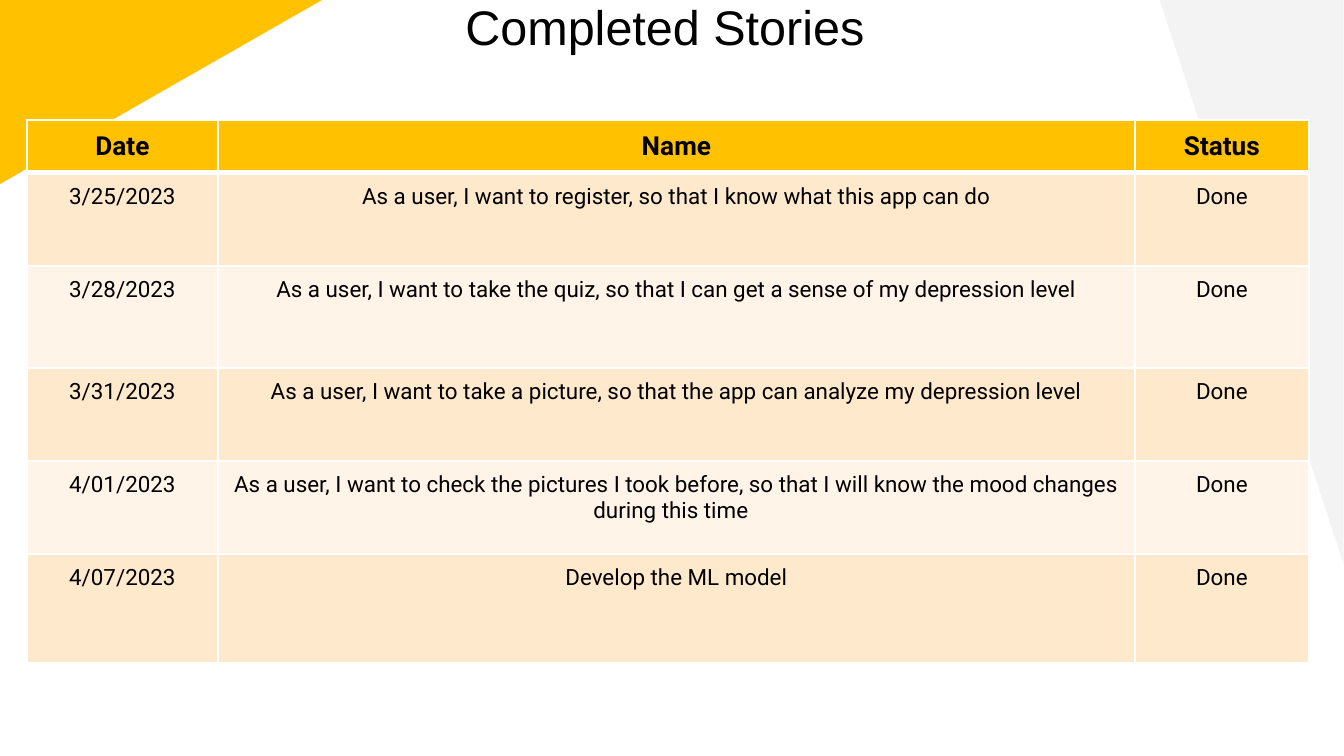
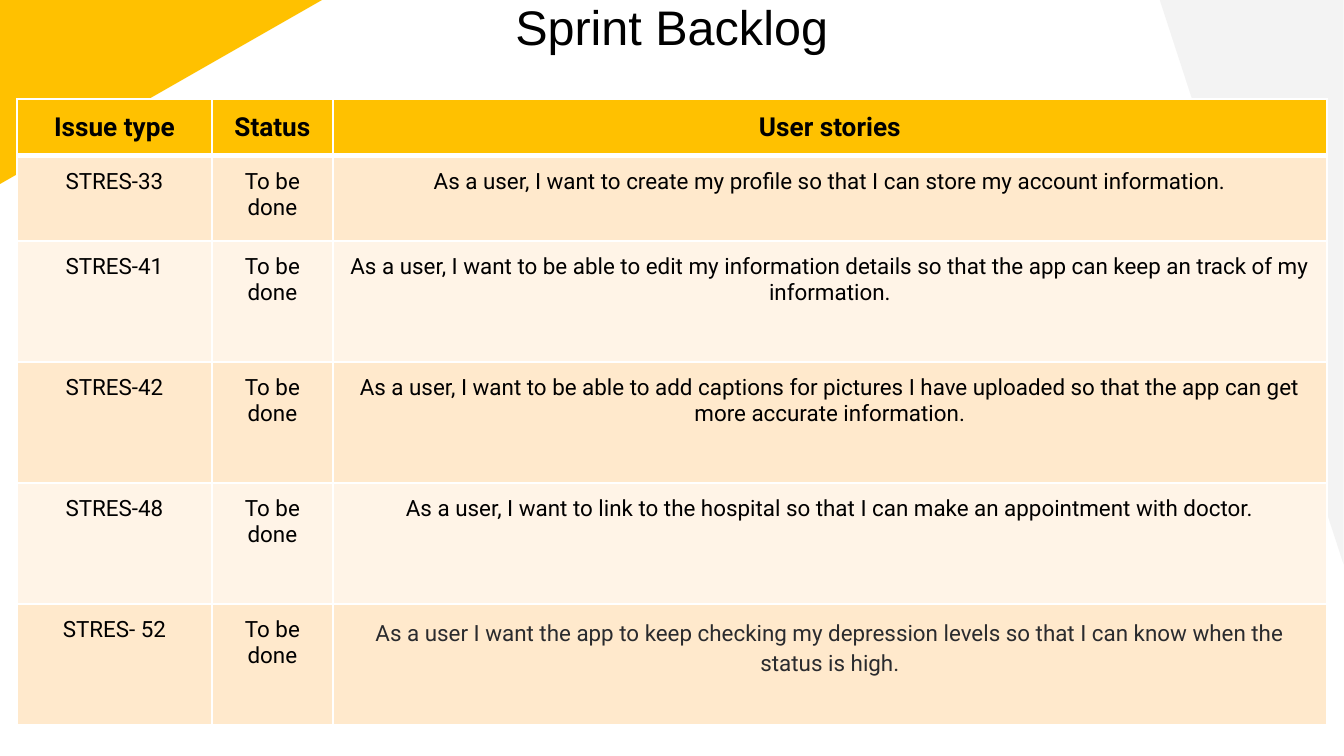
from lxml import etree
from pptx import Presentation
from pptx import util as u
from pptx.dml.color import RGBColor
from pptx.enum import shapes, text
from pptx.oxml.ns import qn

EMU_PER_PX = u.Inches(1) / 134.4
PAGE_SIZE = (1344, 756)
YELLOW, GREY, WHITE, BLACK, INK = "FFC100", "F3F3F3", "FFFFFF", "000000", "2A2B2E"
BAND_FILLS = ("FFE9CC", "FFF4E7")
TITLE_FONT, TABLE_FONT = "Arial", "Roboto"
TITLE_BOX = (77, -16, 1190, 102)

# Corner triangles: box before rotation, rotation, fill
CORNERS = [
    ((0, 0, 322, 184), 180, YELLOW),
    ((969, 190, 565, 184), 270, GREY),
]

SHEETS = [
    {
        "title": "Completed Stories ",
        "left": 27, "top": 120, "inset": 11,
        "columns": (191, 917, 174),
        "rows": (51, 93, 102, 93, 93, 109),
        "cells": [
            ("Date", "Name", "Status"),
            ("3/25/2023", "As a user, I want to register, so that I know what this app can do", "Done"),
            ("3/28/2023", "As a user, I want to take the quiz, so that I can get a sense of my "
                          "depression level", "Done"),
            ("3/31/2023", "As a user, I want to take a picture, so that the app can analyze my "
                          "depression level", "Done"),
            ("4/01/2023", "As a user, I want to check the pictures I took before, so that I will "
                          "know the mood changes during this time  ", "Done"),
            ("4/07/2023", "Develop the ML model", "Done"),
        ],
    },
    {
        "title": "Sprint Backlog",
        "left": 17, "top": 99, "inset": 13,
        "columns": (195, 121, 994),
        "rows": (56, 85, 121, 121, 121, 121),
        "cells": [
            ("Issue type", "Status", "User stories"),
            ("STRES-33", "To be done", "As a user, I want to create my profile so that I can "
                                       "store my account information."),
            ("STRES-41", "To be done", "As a user, I want to be able to edit my information details "
                                       "so that the app can keep an track of my information."),
            ("STRES-42", "To be done", "As a user, I want to be able to add captions for pictures I "
                                       "have uploaded so that the app can get more accurate information."),
            ("STRES-48", "To be done", "As a user, I want to link to the hospital so that I can make "
                                       "an appointment with doctor."),
            ("STRES- 52", "To be done", "As a user I want the app to keep checking my depression "
                                        "levels so that I can know when the status is high."),
        ],
        "loose_cell": (5, 2),
    },
]


def px(length):
    return u.Emu(round(length * EMU_PER_PX))


def color(value):
    return RGBColor.from_string(value)


def style(para, name, size, ink, bold=False):
    para.alignment = text.PP_ALIGN.CENTER
    para.font.name = name
    para.font.size = u.Pt(size)
    para.font.bold = bold
    para.font.color.rgb = color(ink)


def add_corners(page):
    """Draw the corner triangles and hand them to the layout all pages share."""
    layout_tree = page.slide_layout.shapes._spTree
    for position, (box, turn, fill) in enumerate(CORNERS):
        corner = page.shapes.add_shape(shapes.MSO_SHAPE.RIGHT_TRIANGLE, *map(px, box))
        corner.rotation = turn
        corner.shadow.inherit = False
        corner.fill.solid()
        corner.fill.fore_color.rgb = color(fill)
        corner.line.fill.background()
        corner._element.spPr.find(qn("a:xfrm")).set("flipH", "1")
        layout_tree.insert(2 + position, corner._element)


def set_title(page, words):
    title = page.shapes.title
    title.left, title.top, title.width, title.height = map(px, TITLE_BOX)
    frame = title.text_frame
    frame.text = words
    frame.word_wrap = True
    frame.auto_size = text.MSO_AUTO_SIZE.NONE
    frame.vertical_anchor = text.MSO_ANCHOR.TOP
    frame.margin_left = frame.margin_right = frame.margin_top = frame.margin_bottom = px(13)
    style(frame.paragraphs[0], TITLE_FONT, 26, BLACK)


def add_borders(cell, bottom):
    properties = cell._tc.get_or_add_tcPr()
    for side, points in (("L", 1), ("R", 1), ("T", 1), ("B", bottom)):
        line = etree.SubElement(properties, qn(f"a:ln{side}"), w=str(u.Pt(points)))
        fill = etree.SubElement(line, qn("a:solidFill"))
        etree.SubElement(fill, qn("a:srgbClr"), val=WHITE)


def add_stories(page, sheet):
    columns, rows = sheet["columns"], sheet["rows"]
    box = (sheet["left"], sheet["top"], sum(columns), sum(rows))
    table = page.shapes.add_table(len(rows), len(columns), *map(px, box)).table
    for column, width in zip(table.columns, columns):
        column.width = px(width)
    for row, height in zip(table.rows, rows):
        row.height = px(height)
    for r, words in enumerate(sheet["cells"]):
        header = r == 0
        for c, word in enumerate(words):
            cell = table.cell(r, c)
            cell.text = word
            cell.margin_left = cell.margin_right = px(sheet["inset"])
            cell.margin_top = cell.margin_bottom = px(sheet["inset"])
            add_borders(cell, bottom=3 if header else 1)
            cell.fill.solid()
            cell.fill.fore_color.rgb = color(YELLOW if header else BAND_FILLS[(r - 1) % 2])
            loose = (r, c) == sheet.get("loose_cell")
            para = cell.text_frame.paragraphs[0]
            if loose:
                para.line_spacing = 1.15
            style(para, TABLE_FONT, 14 if header else 12, INK if loose else BLACK, bold=header)


def main():
    deck = Presentation()
    deck.slide_width, deck.slide_height = map(px, PAGE_SIZE)
    title_only = deck.slide_layouts[5]
    for number, sheet in enumerate(SHEETS):
        page = deck.slides.add_slide(title_only)
        if number == 0:
            add_corners(page)
        set_title(page, sheet["title"])
        add_stories(page, sheet)
    deck.save("out.pptx")


if __name__ == "__main__":
    main()
